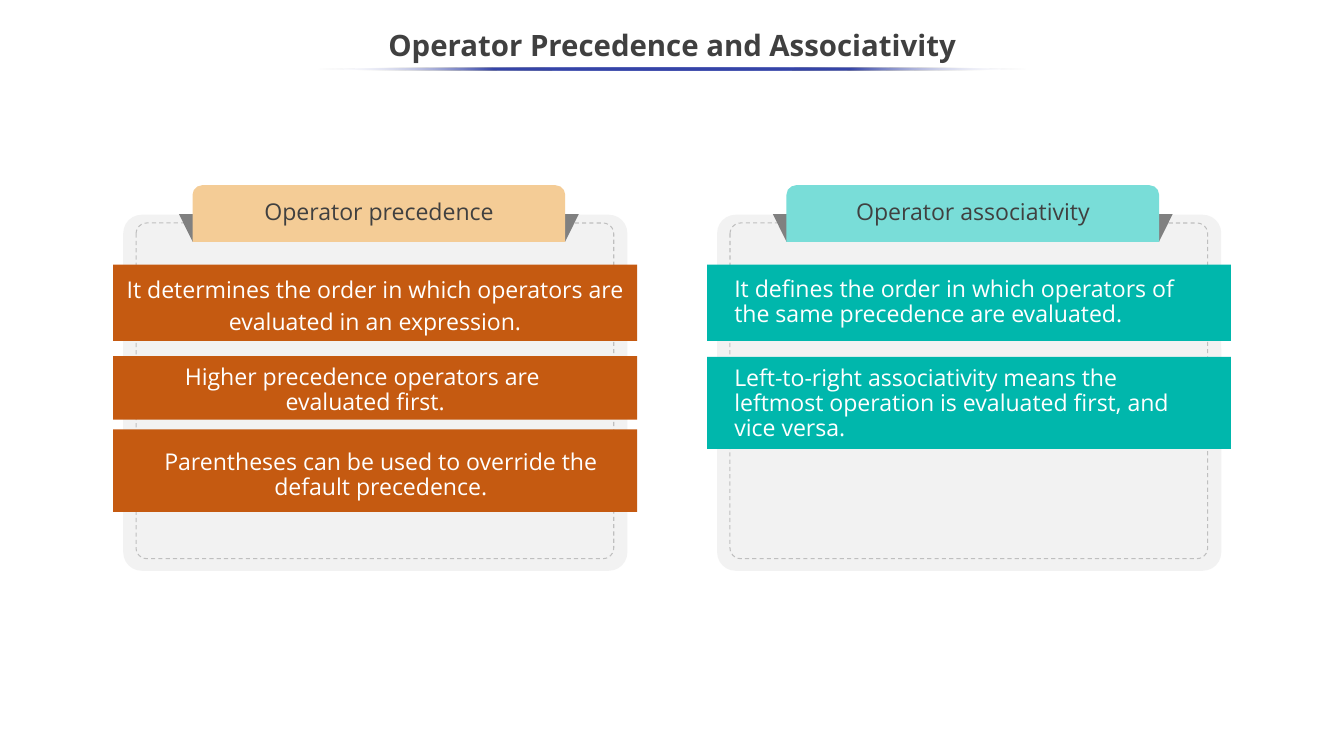
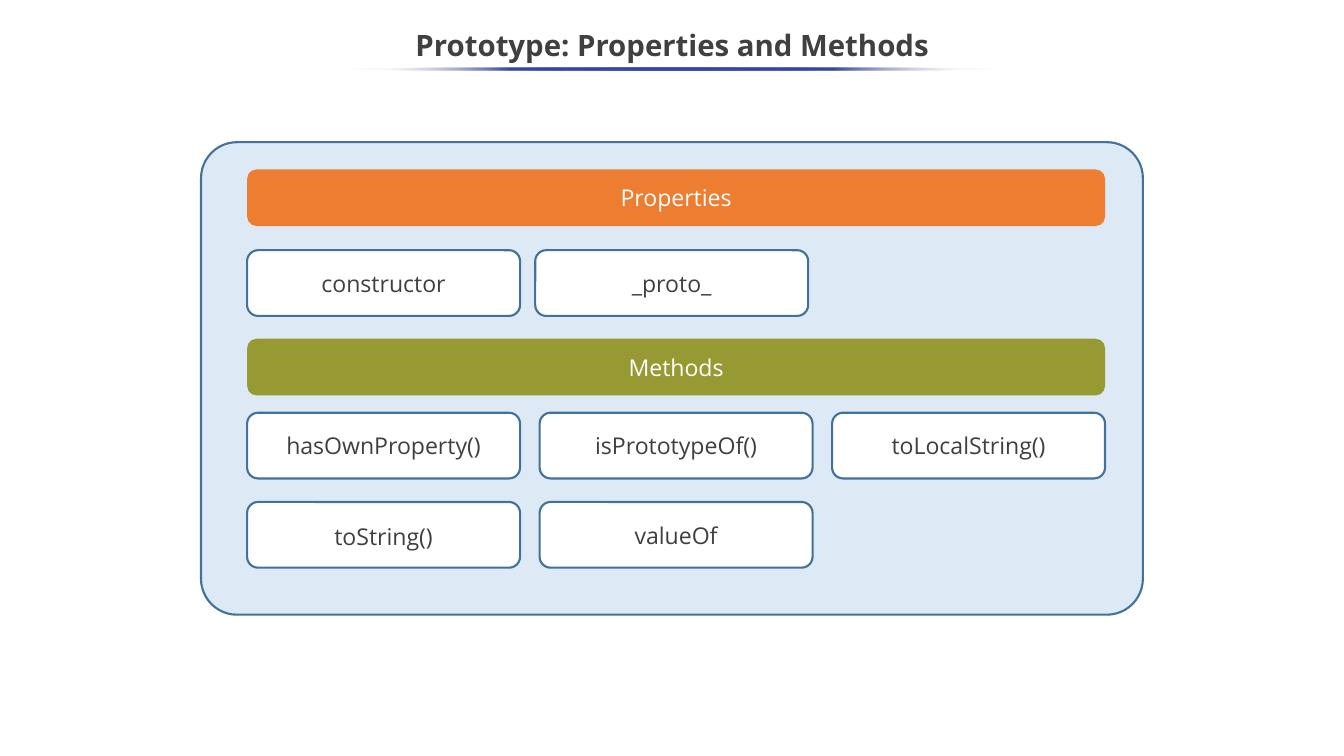
from pptx import Presentation
from pptx.dml.color import RGBColor
from pptx.enum.dml import MSO_LINE
from pptx.enum.shapes import MSO_SHAPE as KIND
from pptx.enum.text import MSO_ANCHOR, PP_ALIGN
from pptx.oxml import parse_xml
from pptx.oxml.ns import nsdecls
from pptx.util import Pt

HUE = {
    "white": "FFFFFF", "ink": "404040", "cell": "3F3F3F", "rule": "3645A9",
    "panel": "F2F2F2", "dash": "BFBFBF", "fold": "808080",
    "rust": "C55A11", "sand": "F4CC96", "teal": "00B7AC", "mint": "79DDD8",
    "sky": "DDEAF6", "edge": "42719B", "orange": "ED7D31", "olive": "979933",
}
FONT = "Open Sans"
WIDE, HIGH = 1280.16, 720

CARDS = [
    {"left": 117.4, "name": "Operator precedence", "tab": "sand", "band": "rust",
     "align": "CENTER", "rows": [
         (252, 72.7, None,
          "It determines the order in which operators are evaluated in an expression."),
         (339.1, 60.5, (8.6, 5.8, 463),
          "Higher precedence operators are \vevaluated first."),
         (409, 78.5, (24.5, 16.5, 460.8),
          "Parentheses can be used to override the default precedence."),
     ]},
    {"left": 683.1, "name": "Operator associativity", "tab": "mint", "band": "teal",
     "align": "LEFT", "rows": [
         (252, 72.7, (18.8, 8.6, 464.4),
          "It defines the order in which operators of the same precedence are evaluated."),
         (339.8, 87.8, (18.8, 5.8, 464.4),
          "Left-to-right associativity means the leftmost operation is evaluated first, and vice versa."),
     ]},
]

PARTS = [
    {"name": "Properties", "hue": "orange", "top": 161.3, "first": 238.3, "step": 274.4,
     "rows": [["constructor", "_proto_"]]},
    {"name": "Methods", "hue": "olive", "top": 322.6, "first": 393.1, "step": 278.6,
     "rows": [["hasOwnProperty()", "isPrototypeOf()", "toLocalString()"],
              ["toString()", "valueOf"]]},
]


def tint(name):
    return RGBColor.from_string(HUE[name])


def write(shape, text, size=22, color="white", bold=False, align="CENTER",
          anchor="MIDDLE", space=1.0):
    frame = shape.text_frame
    frame.word_wrap = True
    frame.vertical_anchor = MSO_ANCHOR[anchor]
    para = frame.paragraphs[0]
    para.text = text
    para.alignment = PP_ALIGN[align]
    para.line_spacing = space
    font = para.font
    font.name, font.size, font.bold = FONT, Pt(size), bold
    font.color.rgb = tint(color)


def label(slide, box, text, **style):
    write(slide.shapes.add_textbox(*map(Pt, box)), text, **style)


def block(slide, kind, box, fill=None, line=None, width=1, adj=()):
    shape = slide.shapes.add_shape(kind, *map(Pt, box))
    shape.shadow.inherit = False
    for i, value in enumerate(adj):
        shape.adjustments[i] = value
    if fill:
        shape.fill.solid()
        shape.fill.fore_color.rgb = tint(fill)
    else:
        shape.fill.background()
    if line:
        shape.line.color.rgb = tint(line)
        shape.line.width = Pt(width)
    else:
        shape.line.fill.background()
    return shape


def fade(shape):
    stops = "".join(
        f'<a:gs pos="{pos * 1000}"><a:srgbClr val="{HUE[name]}">'
        f'<a:alpha val="{alpha}"/></a:srgbClr></a:gs>'
        for pos, name, alpha in [(0, "white", 0), (25, "rule", 100000), (50, "rule", 100000),
                                 (75, "rule", 100000), (100, "white", 0)])
    props = shape.element.spPr
    props.replace(props.find("{*}noFill"), parse_xml(
        f'<a:gradFill {nsdecls("a")}><a:gsLst>{stops}</a:gsLst>'
        '<a:lin ang="10800000" scaled="0"/></a:gradFill>'))


def start(deck, title, span):
    slide = deck.slides.add_slide(deck.slide_layouts[6])
    label(slide, (0, 18, WIDE, 54), title, size=28, color="ink", bold=True, space=0.9)
    fade(block(slide, KIND.OVAL, ((WIDE - span) / 2, 64.1, span, 2.9)))
    return slide


def card(slide, item):
    left = item["left"]
    block(slide, KIND.ROUNDED_RECTANGLE, (left, 204.5, 480.2, 339.1), "panel", adj=[0.052])
    frame = block(slide, KIND.ROUNDED_RECTANGLE, (left + 12.2, 212.4, 455, 319.7),
                  line="dash", adj=[0.032])
    frame.line.dash_style = MSO_LINE.DASH
    fold = block(slide, KIND.TRAPEZOID, (left + 53, 203.8, 380.9, 26.6), "fold", adj=[0.494])
    fold.rotation = 180
    block(slide, KIND.ROUND_2_SAME_RECTANGLE, (left + 66, 176.4, 355, 54), item["tab"],
          adj=[0.17, 0])
    label(slide, (left + 82, 184.3, 323.3, 31), item["name"], color="ink", anchor="TOP")
    edge = left - 9.6
    for top, high, place, text in item["rows"]:
        band = block(slide, KIND.RECTANGLE, (edge, top, 499, high), item["band"])
        if place:
            dx, dy, wide = place
            label(slide, (edge + dx, top + dy, wide, high - 2 * dy), text,
                  align=item["align"], anchor="TOP", space=0.9)
        else:
            write(band, text, space=1.15)


def part(slide, item):
    left = 235.4
    head = block(slide, KIND.ROUNDED_RECTANGLE, (left, item["top"], 817.2, 54), item["hue"],
                 adj=[0.167])
    write(head, item["name"])
    for i, row in enumerate(item["rows"]):
        for j, text in enumerate(row):
            box = (left + j * item["step"], item["first"] + i * 85, 260, 62.6)
            cell = block(slide, KIND.ROUNDED_RECTANGLE, box, "white", "edge", 2, [0.167])
            write(cell, text, color="cell", space=1.14 if text == "toString()" else 1.0)


def main():
    deck = Presentation()
    deck.slide_width, deck.slide_height = Pt(WIDE), Pt(HIGH)
    slide = start(deck, "Operator Precedence and Associativity", 676.8)
    for item in CARDS:
        card(slide, item)
    slide = start(deck, "Prototype: Properties and Methods", 612.7)
    block(slide, KIND.ROUNDED_RECTANGLE, (191.5, 135.4, 897.1, 450), "sky", "edge", 2, [0.076])
    for item in PARTS:
        part(slide, item)
    deck.save("out.pptx")


if __name__ == "__main__":
    main()
